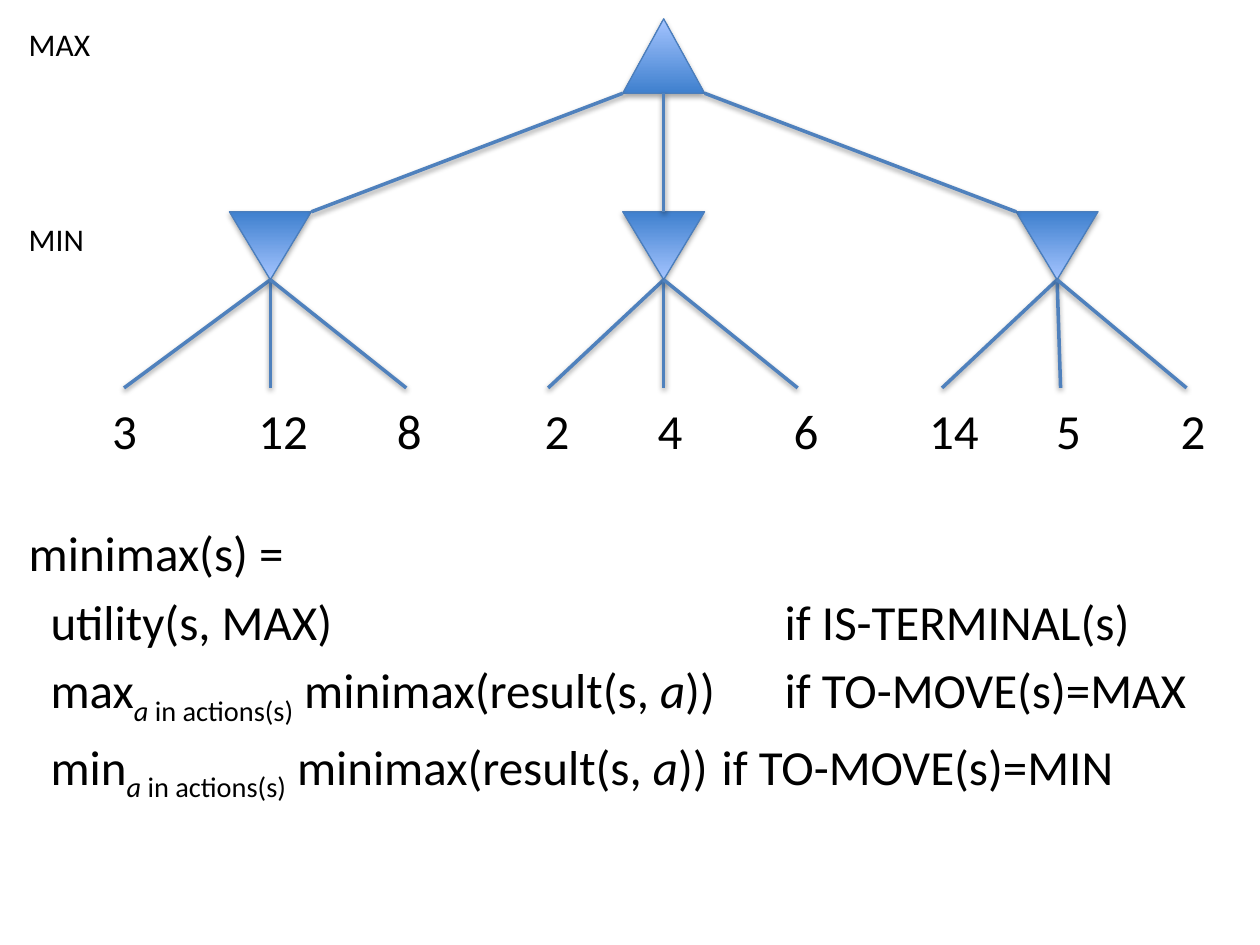
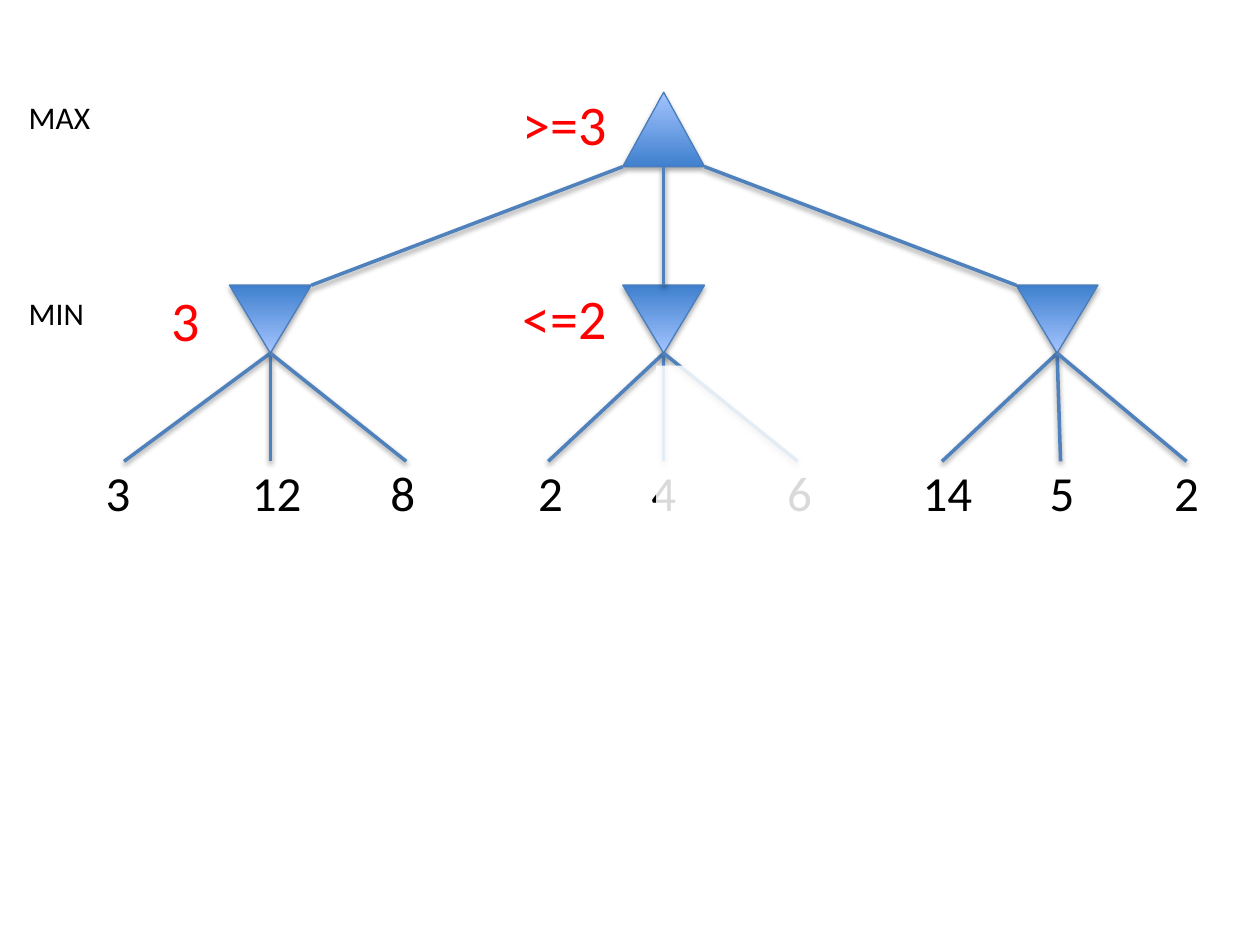
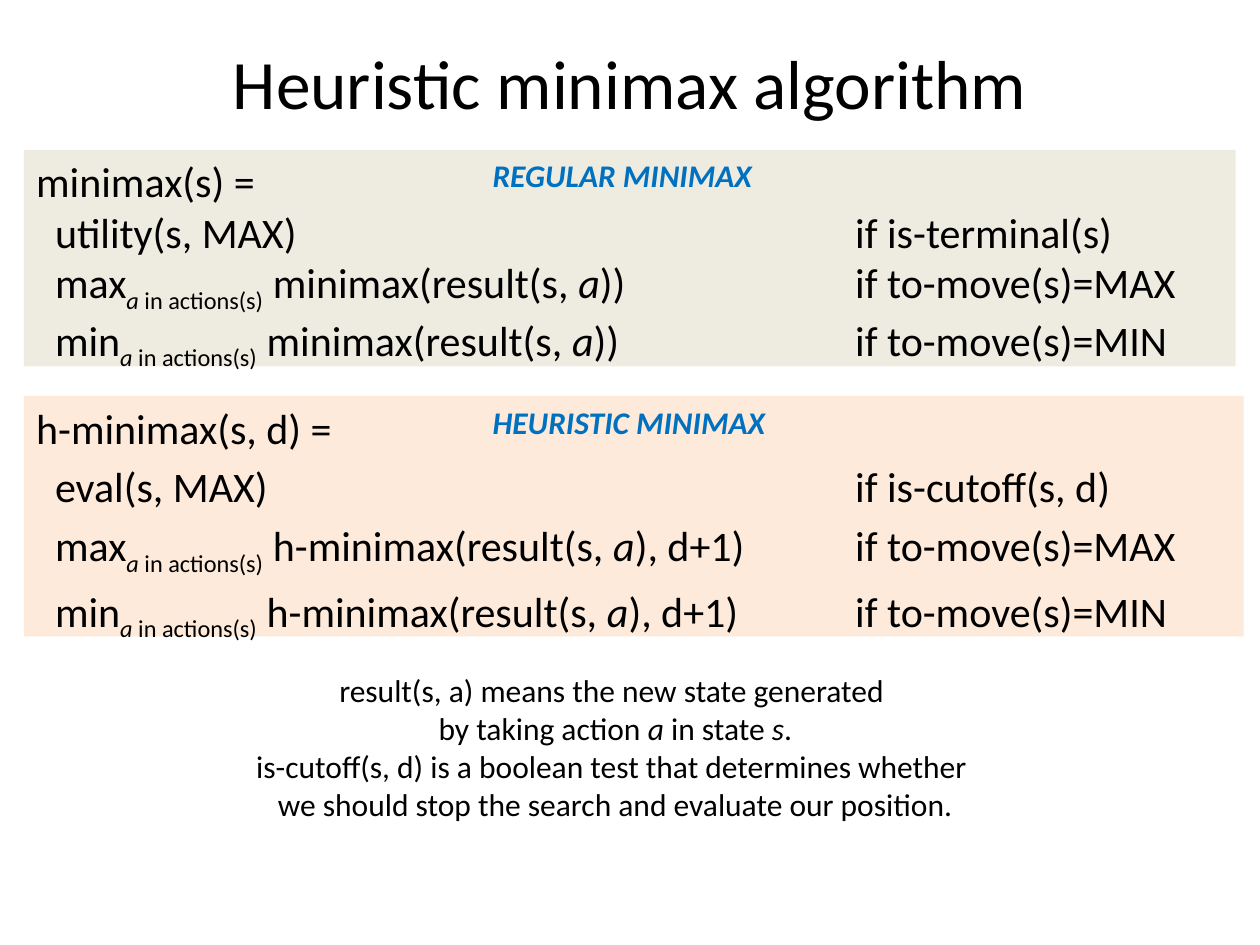
import pptx
import pptx.dml.color
import pptx.enum.shapes
import pptx.enum.text
import pptx.oxml
import pptx.oxml.ns
import pptx.util
from lxml import etree

Cm = pptx.util.Cm
Pt = pptx.util.Pt
RGBColor = pptx.dml.color.RGBColor
MSO_SHAPE = pptx.enum.shapes.MSO_SHAPE
PP_ALIGN = pptx.enum.text.PP_ALIGN
MSO_ANCHOR = pptx.enum.text.MSO_ANCHOR
qn = pptx.oxml.ns.qn

FONT = "Calibri"
BLACK = RGBColor(0x00, 0x00, 0x00)
WHITE = RGBColor(0xFF, 0xFF, 0xFF)
RED = RGBColor(0xFF, 0x00, 0x00)
HEADING_BLUE = RGBColor(0x00, 0x70, 0xC0)
NODE_DARK = RGBColor(0x3F, 0x80, 0xCE)
NODE_LIGHT = RGBColor(0xA4, 0xC4, 0xFF)
NODE_OUTLINE = RGBColor(0x4B, 0x7E, 0xBC)
EDGE_BLUE = RGBColor(0x4F, 0x81, 0xBD)
REGULAR_FILL = RGBColor(0xEE, 0xEC, 0xE1)
HEURISTIC_FILL = RGBColor(0xFD, 0xEA, 0xDA)

# Tree measures in cm, from the left edge of the slide and the top of the tree
NODE_WIDTH, MAX_HEIGHT, MIN_HEIGHT = 1.65, 1.5, 1.37
ROOT_X, NODE_GAP = 13.38, 7.93
MIN_TOP, LEAF_Y = 3.89, 7.44
LEAF_OFFSETS = [(-2.95, 0, 2.74), (-2.33, 0, 2.7), (-2.32, 0.07, 2.61)]
LEAF_VALUES = [3, 12, 8, 2, 4, 6, 14, 5, 2]
VALUE_STOPS = [0.81, 4.01, 6.55, 9.53, 11.81, 14.55, 17.53, 19.84, 22.35]


# Shared helpers
def add_shadow(shape, distance, opacity):
    effects = pptx.oxml.parse_xml(
        '<a:effectLst xmlns:a="http://schemas.openxmlformats.org/drawingml/2006/main">'
        f'<a:outerShdw blurRad="40000" dist="{distance}" dir="5400000" rotWithShape="0">'
        f'<a:srgbClr val="000000"><a:alpha val="{opacity * 1000}"/></a:srgbClr>'
        "</a:outerShdw></a:effectLst>")
    shape._element.spPr.append(effects)


def add_tabs(paragraph, stops, align="l"):
    tab_list = etree.SubElement(paragraph._p.get_or_add_pPr(), qn("a:tabLst"))
    for stop in stops:
        etree.SubElement(tab_list, qn("a:tab"), pos=str(Cm(stop)), algn=align)


def add_runs(paragraph, pieces, size, color=BLACK):
    """Each piece is (text, style); style letters: b bold, i italic, s subscript."""
    for text, style in pieces:
        if text == "\v":
            paragraph.add_line_break()
            continue
        run = paragraph.add_run()
        run.text = text
        font = run.font
        font.name, font.size, font.color.rgb = FONT, Pt(size), color
        font.bold, font.italic = "b" in style, "i" in style
        if "s" in style:
            run._r.get_or_add_rPr().set("baseline", "-25000")


def add_text_box(slide, box, paragraphs, size, color=BLACK, align=PP_ALIGN.LEFT, fill=None):
    shape = slide.shapes.add_textbox(*(Cm(length) for length in box))
    if fill is not None:
        shape.fill.solid()
        shape.fill.fore_color.rgb = fill
    frame = shape.text_frame
    frame.word_wrap = True
    for index, pieces in enumerate(paragraphs):
        paragraph = frame.add_paragraph() if index else frame.paragraphs[0]
        paragraph.alignment = align
        add_runs(paragraph, pieces, size, color)
    return frame


def add_label(slide, box, text, size, color=BLACK, style=""):
    return add_text_box(slide, box, [[(text, style)]], size, color)


# Game tree
def add_node(slide, center, top, height, flipped=False):
    node = slide.shapes.add_shape(
        MSO_SHAPE.ISOSCELES_TRIANGLE,
        Cm(center - NODE_WIDTH / 2), Cm(top), Cm(NODE_WIDTH), Cm(height))
    node.fill.gradient()
    node.fill.gradient_angle = 90
    for stop, color in zip(node.fill.gradient_stops, (NODE_DARK, NODE_LIGHT)):
        stop.color.rgb = color
    node.line.color.rgb = NODE_OUTLINE
    node.line.width = Pt(0.75)
    add_shadow(node, 23000, 35)
    if flipped:
        node._element.spPr.xfrm.set("flipV", "1")


def add_edge(slide, x1, y1, x2, y2):
    edge = slide.shapes.add_connector(
        pptx.enum.shapes.MSO_CONNECTOR.STRAIGHT, Cm(x1), Cm(y1), Cm(x2), Cm(y2))
    edge.line.color.rgb = EDGE_BLUE
    edge.line.width = Pt(2)
    add_shadow(edge, 20000, 38)


def add_tree(slide, top, values_left, values_top):
    add_node(slide, ROOT_X, top, MAX_HEIGHT)
    min_y = top + MIN_TOP
    tip_y = min_y + MIN_HEIGHT
    for side, offsets in zip((-1, 0, 1), LEAF_OFFSETS):
        center = ROOT_X + side * NODE_GAP
        corner = side * NODE_WIDTH / 2
        add_node(slide, center, min_y, MIN_HEIGHT, flipped=True)
        add_edge(slide, ROOT_X + corner, top + MAX_HEIGHT, center - corner, min_y)
        for offset in offsets:
            add_edge(slide, center, tip_y, center + offset, top + LEAF_Y)

    # Leaf values, centred on tab stops
    values = "".join(f"\t{value}" for value in LEAF_VALUES)
    frame = add_label(slide, (values_left, top + values_top, 23.95, 1.45), values, 28)
    add_tabs(frame.paragraphs[0], VALUE_STOPS, "ctr")

    # Player of each level
    for player, offset in (("MAX", 0), ("MIN", 3.94)):
        add_label(slide, (0.33, top + offset, 2.03, 1.02), player, 18)


# Case definition of a minimax function
def choice_row(operator, call, depth, condition):
    return [(f"\t{operator}", ""), ("a", "is"), (" in actions(s)", "s"),
            (f" {call}(result(s, ", ""), ("a", "i"),
            (f"){depth})\tif {condition}={operator.upper()}", "")]


def add_definition(slide, box, head, base_case, call, depth, condition, size,
                   indent, stops, space=0, fill=None):
    """Stops hold the place of the condition in each of the three cases."""
    rows = [[(head, "")], [(f"\t{base_case}", "")]]
    rows += [choice_row(operator, call, depth, condition) for operator in ("max", "min")]
    frame = add_text_box(slide, box, rows, size, fill=fill)
    for paragraph, stop in zip(frame.paragraphs[1:], stops):
        add_tabs(paragraph, [indent, stop])
        paragraph.space_before = Pt(space)


# Slides
def build_minimax_slide(slide):
    add_tree(slide, 0.38, values_left=1.45, values_top=7.57)
    add_definition(slide, (0.33, 10.41, 24.59, 6.6), "minimax(s) =",
                   "utility(s, MAX)\tif IS-TERMINAL(s)", "minimax", ")"[:0],
                   "TO-MOVE(s)", 28, 0.44, (15.24, 15.24, 13.97), space=5.6)


def build_pruning_slide(slide):
    top = 1.86
    add_tree(slide, top, values_left=1.32, values_top=7.34)

    # Veil over the pruned branches
    veil = slide.shapes.add_shape(
        MSO_SHAPE.RECTANGLE, Cm(13.23), Cm(top + 5.51), Cm(4.67), Cm(4.95))
    veil.shadow.inherit = False
    veil.line.fill.background()
    veil.fill.solid()
    veil.fill.fore_color.rgb = WHITE
    color = veil._element.spPr.find(qn("a:solidFill"))[0]
    etree.SubElement(color, qn("a:alpha"), val="85000")

    # Bounds found so far
    for text, left, offset in (("3", 3.2, 3.78), ("<=2", 10.28, 3.73), (">=3", 10.28, -0.18)):
        add_label(slide, (left, top + offset, 2.4, 1.63), text, 32, RED)


def build_heuristic_slide(slide):
    title = add_text_box(slide, (1.27, 0.76, 22.86, 1.78),
                         [[("Heuristic minimax algorithm", "")]], 39.6, align=PP_ALIGN.CENTER)
    title.vertical_anchor = MSO_ANCHOR.MIDDLE

    stops = (16.51,) * 3
    add_definition(slide, (0.48, 7.98, 24.59, 4.85), "h-minimax(s, d) =",
                   "eval(s, MAX)\tif is-cutoff(s, d)", "h-minimax", ", d+1",
                   "to-move(s)", 24, 0.38, stops, space=4.8, fill=HEURISTIC_FILL)
    add_definition(slide, (0.48, 3.02, 24.43, 4.37), "minimax(s) =",
                   "utility(s, MAX)\tif is-terminal(s)", "minimax", "",
                   "to-move(s)", 24, 0.38, stops, fill=REGULAR_FILL)
    for heading, top in (("REGULAR MINIMAX", 3.02), ("HEURISTIC MINIMAX", 8.0)):
        add_label(slide, (9.68, top, 7.67, 1.02), heading, 18, HEADING_BLUE, "bi")

    # Explanation
    notes = [
        [("result(s, a) means the new state generated ", ""), ("\v", ""),
         ("by taking action ", ""), ("a", "i"), (" in state ", ""), ("s", "i"), (".", "")],
        [("is-cutoff(s, d) is a boolean test that determines whether ", ""), ("\v", ""),
         ("we should stop the search and evaluate our position.", "")],
    ]
    add_text_box(slide, (3.68, 13.41, 17.45, 3.33), notes, 18, align=PP_ALIGN.CENTER)


def main():
    presentation = pptx.Presentation()
    presentation.slide_width, presentation.slide_height = Cm(25.4), Cm(19.05)
    blank = presentation.slide_layouts[6]
    for build in (build_minimax_slide, build_pruning_slide, build_heuristic_slide):
        build(presentation.slides.add_slide(blank))
    presentation.save("out.pptx")


if __name__ == "__main__":
    main()
